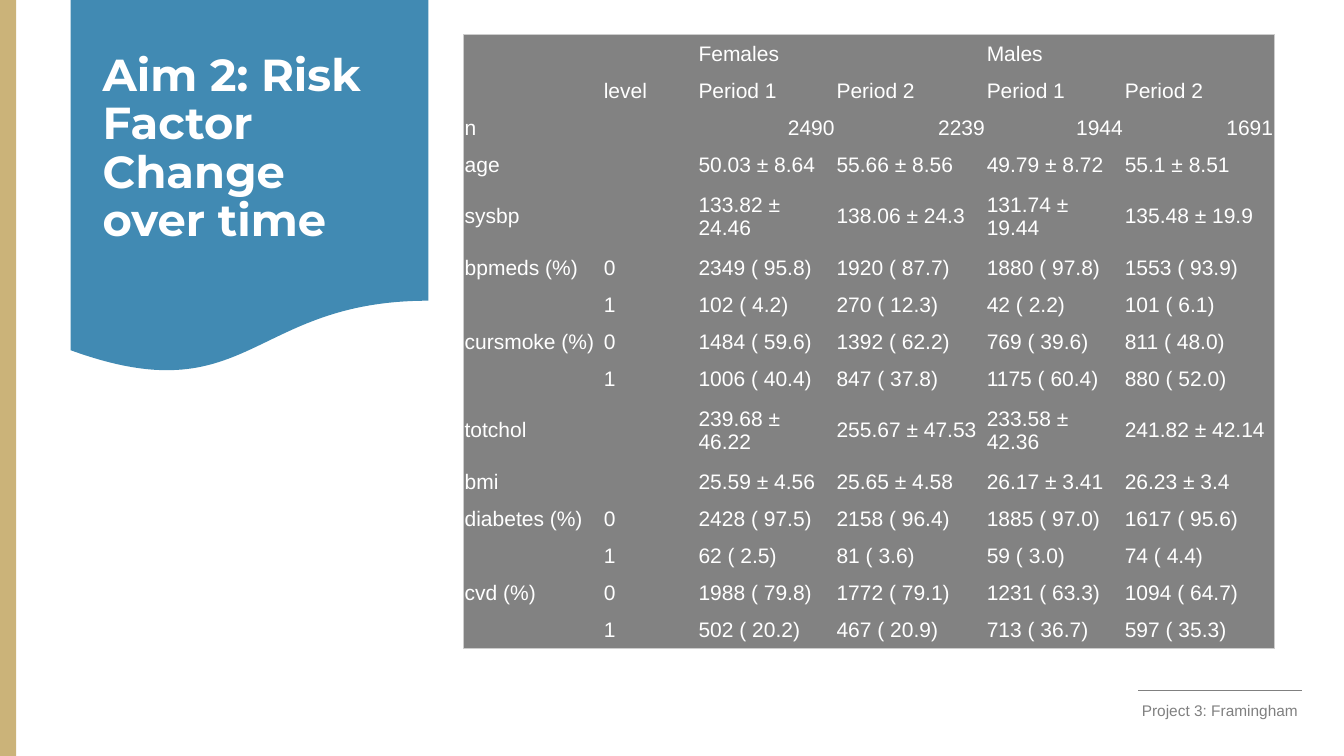
import pptx
import pptx.dml.color
import pptx.enum.shapes
import pptx.enum.text
import pptx.oxml
import pptx.oxml.ns
import pptx.util

SHAPES = pptx.enum.shapes.MSO_SHAPE
ALIGN = pptx.enum.text.PP_ALIGN
ANCHOR = pptx.enum.text.MSO_ANCHOR
COLORS = {
    "gold": "CBB379",
    "blue": "418AB3",
    "grey": "808080",
    "table": "828282",
    "border": "CDCDCD",
    "white": "FFFFFF",
}
PLAIN_TABLE = "{2D5ABB26-0587-4C30-8999-92F81FD0307C}"
COLUMN_SHARES = [10.35, 7.05, 10.27, 11.18, 10.27, 11.18]
ROW_SHARE, TALL_ROW_SHARE = 4.9, 8.75
TALL_ROWS = ("sysbp", "totchol")
RISK_FACTORS = [
    ["", "", "Females", "", "Males", ""],
    ["", "level", "Period 1", "Period 2", "Period 1", "Period 2"],
    ["n", "", "2490", "2239", "1944", "1691"],
    ["age", "", "50.03 ± 8.64", "55.66 ± 8.56", "49.79 ± 8.72", "55.1 ± 8.51"],
    ["sysbp", "", "133.82 ± 24.46", "138.06 ± 24.3", "131.74 ± 19.44", "135.48 ± 19.9"],
    ["bpmeds (%)", "0", "2349 ( 95.8)", "1920 ( 87.7)", "1880 ( 97.8)", "1553 ( 93.9)"],
    ["", "1", "102 ( 4.2)", "270 ( 12.3)", "42 ( 2.2)", "101 ( 6.1)"],
    ["cursmoke (%)", "0", "1484 ( 59.6)", "1392 ( 62.2)", "769 ( 39.6)", "811 ( 48.0)"],
    ["", "1", "1006 ( 40.4)", "847 ( 37.8)", "1175 ( 60.4)", "880 ( 52.0)"],
    ["totchol", "", "239.68 ± 46.22", "255.67 ± 47.53", "233.58 ± 42.36", "241.82 ± 42.14"],
    ["bmi", "", "25.59 ± 4.56", "25.65 ± 4.58", "26.17 ± 3.41", "26.23 ± 3.4"],
    ["diabetes (%)", "0", "2428 ( 97.5)", "2158 ( 96.4)", "1885 ( 97.0)", "1617 ( 95.6)"],
    ["", "1", "62 ( 2.5)", "81 ( 3.6)", "59 ( 3.0)", "74 ( 4.4)"],
    ["cvd (%)", "0", "1988 ( 79.8)", "1772 ( 79.1)", "1231 ( 63.3)", "1094 ( 64.7)"],
    ["", "1", "502 ( 20.2)", "467 ( 20.9)", "713 ( 36.7)", "597 ( 35.3)"],
]


class PageBuilder:
    body_font = "Arial"
    title_font = "Montserrat"

    def __init__(self, deck):
        self.deck = deck
        self.page = deck.slides.add_slide(deck.slide_layouts[6])

    def across(self, percent):
        return pptx.util.Emu(round(self.deck.slide_width * percent / 100))

    def down(self, percent):
        return pptx.util.Emu(round(self.deck.slide_height * percent / 100))

    def frame(self, left, top, width, height):
        return self.across(left), self.down(top), self.across(width), self.down(height)

    def color(self, name):
        return pptx.dml.color.RGBColor.from_string(COLORS[name])

    def shape(self, preset, place, fill):
        shape = self.page.shapes.add_shape(preset, *self.frame(*place))
        shape.shadow.inherit = False
        shape.fill.solid()
        shape.fill.fore_color.rgb = self.color(fill)
        shape.line.fill.background()

    def line(self, start, end, color):
        line = self.page.shapes.add_connector(
            pptx.enum.shapes.MSO_CONNECTOR.STRAIGHT,
            self.across(start[0]), self.down(start[1]),
            self.across(end[0]), self.down(end[1]))
        line.line.color.rgb = self.color(color)
        line.line.width = pptx.util.Pt(0.5)
        properties = line._element.spPr
        properties.append(properties.makeelement(pptx.oxml.ns.qn("a:effectLst"), {}))

    def span(self, para, text, font, size, color, bold=False):
        span = para.add_run()
        span.text = text
        span.font.name = font
        span.font.size = pptx.util.Pt(size)
        span.font.bold = bold
        span.font.color.rgb = self.color(color)

    def box(self, place, anchor=ANCHOR.TOP):
        box = self.page.shapes.add_textbox(*self.frame(*place))
        box.text_frame.word_wrap = True
        box.text_frame.vertical_anchor = anchor
        return box.text_frame

    def title(self, place, text):
        para = self.box(place, ANCHOR.MIDDLE).paragraphs[0]
        para.line_spacing = 0.9
        para.space_after = pptx.util.Pt(6)
        self.span(para, text, self.title_font, 32, "white", bold=True)

    def footer(self, place, text):
        frame = self.box(place)
        frame.auto_size = pptx.enum.text.MSO_AUTO_SIZE.SHAPE_TO_FIT_TEXT
        para = frame.paragraphs[0]
        para.alignment = ALIGN.CENTER
        self.span(para, text, self.body_font, 11, "grey")

    def border(self, cell, side):
        cell._tc.get_or_add_tcPr().append(pptx.oxml.parse_xml(
            f'<a:ln{side} {pptx.oxml.ns.nsdecls("a")} w="6350"><a:solidFill>'
            f'<a:srgbClr val="{COLORS["border"]}"/></a:solidFill></a:ln{side}>'))

    def cell(self, cell, text, sides):
        for side in sides:
            self.border(cell, side)
        cell.fill.solid()
        cell.fill.fore_color.rgb = self.color("table")
        cell.vertical_anchor = ANCHOR.MIDDLE
        cell.margin_left = cell.margin_right = cell.margin_top = pptx.util.Inches(0.01)
        cell.margin_bottom = 0
        para = cell.text_frame.paragraphs[0]
        if text:
            self.span(para, text, self.body_font, 15, "white")
        return para

    def table(self, left, top, rows):
        heights = [TALL_ROW_SHARE if row[0] in TALL_ROWS else ROW_SHARE for row in rows]
        place = self.frame(left, top, sum(COLUMN_SHARES), sum(heights))
        table = self.page.shapes.add_table(len(rows), len(COLUMN_SHARES), *place).table
        table.first_row = table.horz_banding = False
        table._tbl.tblPr.find(pptx.oxml.ns.qn("a:tableStyleId")).text = PLAIN_TABLE
        for column, share in zip(table.columns, COLUMN_SHARES):
            column.width = self.across(share)
        for row, share in zip(table.rows, heights):
            row.height = self.down(share)
        last_row, last_column = len(rows) - 1, len(COLUMN_SHARES) - 1
        for y, row in enumerate(rows):
            for x, text in enumerate(row):
                edges = {"L": x == 0, "R": x == last_column, "T": y == 0, "B": y == last_row}
                sides = [side for side, outer in edges.items() if outer]
                para = self.cell(table.cell(y, x), text, sides)
                if row[0] == "n" and x > 0 and text:
                    para.alignment = ALIGN.RIGHT


def main():
    deck = pptx.Presentation()
    deck.slide_width = pptx.util.Inches(13.33)
    deck.slide_height = pptx.util.Inches(7.5)
    builder = PageBuilder(deck)
    builder.footer((81.92, 92.13, 17.7, 3.87), "Project 3: Framingham")
    builder.line((84.7, 91.33), (96.85, 91.33), "grey")
    builder.shape(SHAPES.RECTANGLE, (0, 0, 1.2, 100), "gold")
    builder.shape(SHAPES.FLOWCHART_DOCUMENT, (5.25, 0, 26.63, 49.6), "blue")
    builder.title((6.9, 2.53, 23.33, 34.53), "Aim 2: Risk Factor Change over time")
    builder.table(34.5, 4.6, RISK_FACTORS)
    deck.save("out.pptx")


if __name__ == "__main__":
    main()
